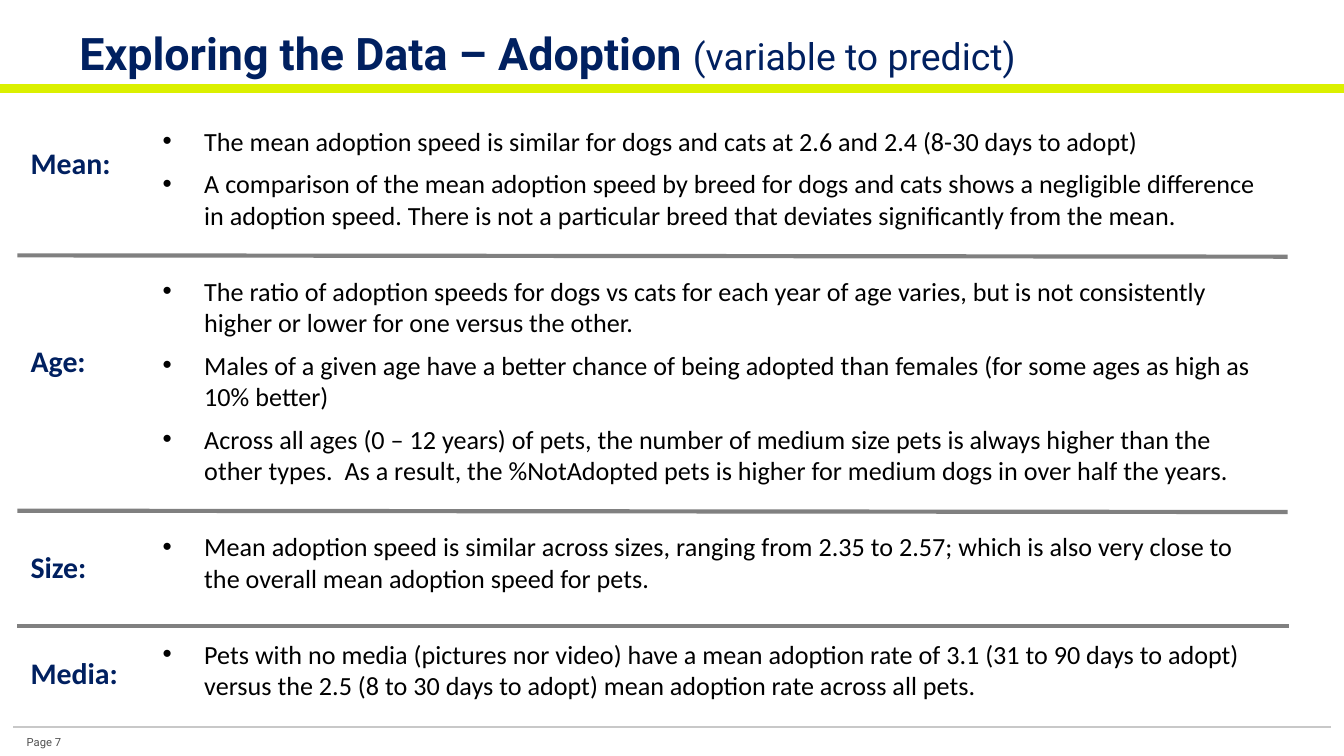
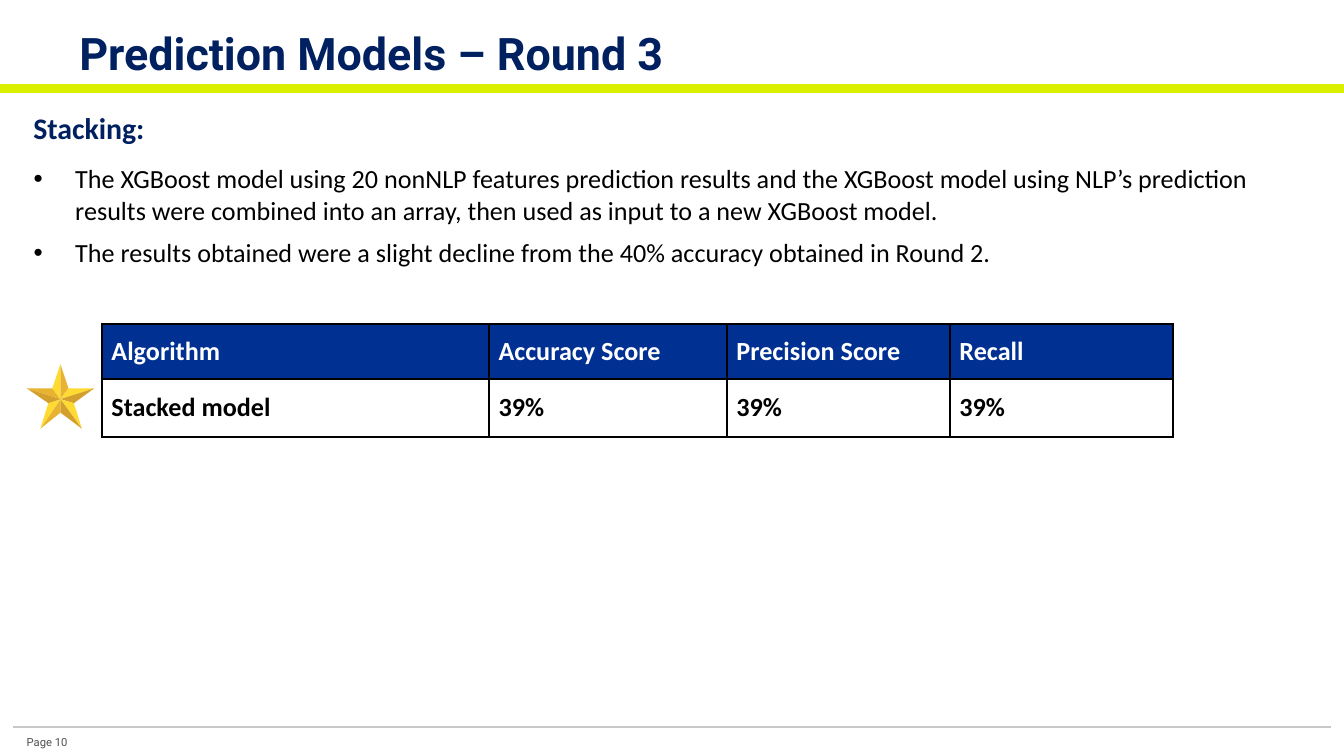
from dataclasses import dataclass

from lxml import etree
from pptx import Presentation
from pptx import util as u
from pptx.dml.color import RGBColor
from pptx.enum import shapes, text
from pptx.oxml.ns import qn

PX = 9144  # EMU per px, 100 px to the inch


@dataclass(frozen=True)
class Theme:
    heading_font: str = "Roboto"
    body_font: str = "Calibri"
    title_size: int = 24
    subtitle_size: int = 20
    label_size: int = 16
    body_size: int = 14
    footer_size: int = 6
    navy: str = "002060"
    header_blue: str = "003192"
    lime: str = "DBF000"
    gray: str = "808080"
    light_gray: str = "C8C8C8"
    footer_gray: str = "505050"
    black: str = "000000"
    white: str = "FFFFFF"
    star_light: str = "FEDA32"
    star_mid: str = "E8B330"
    star_dark: str = "D39F2D"


def px(*lengths):
    return [u.Emu(length * PX) for length in lengths]


def style(font, name, size, color, bold=False):
    font.name, font.size, font.bold = name, u.Pt(size), bold
    font.color.rgb = RGBColor.from_string(color)


def place(shape, box):
    shape.left, shape.top, shape.width, shape.height = px(*box)


class Deck:
    def __init__(self, theme):
        self.theme = theme
        self.prs = Presentation()
        self.prs.slide_width, self.prs.slide_height = u.Inches(10), u.Inches(5.625)
        self.slide = None

    def start_slide(self, page, title_width, title, subtitle=""):
        """Add a slide with its title, lime band and footer."""
        t = self.theme
        self.slide = self.prs.slides.add_slide(self.prs.slide_layouts[1])
        heading = self.slide.shapes.title
        place(heading, (49, 9, title_width, 45))
        frame = heading.text_frame
        self.set_frame(frame, margin=10)
        line = frame.paragraphs[0]
        line.alignment = text.PP_ALIGN.LEFT
        style(line.font, t.heading_font, t.title_size, t.navy, True)
        line.add_run().text = title
        if subtitle:
            aside = line.add_run()
            aside.text = subtitle
            aside.font.size, aside.font.bold = u.Pt(t.subtitle_size), False

        self.line((0, 66), (1000, 66), t.lime, 4.5)
        self.line((10, 541), (990, 541), t.light_gray, 0.75)
        self.text((10, 537, 52, 22), f"Page {page}", t.heading_font,
                  t.footer_size, t.footer_gray, margin=10)

    def set_frame(self, frame, margin=None, wrap=True, grow=False):
        frame.word_wrap = wrap
        frame.vertical_anchor = text.MSO_ANCHOR.TOP
        fit = text.MSO_AUTO_SIZE
        frame.auto_size = fit.SHAPE_TO_FIT_TEXT if grow else fit.NONE
        if margin is not None:
            frame.margin_left, frame.margin_top, frame.margin_right, frame.margin_bottom = px(*[margin] * 4)

    def text(self, box, words, font, size, color, bold=False, margin=None, grow=False):
        frame = self.slide.shapes.add_textbox(*px(*box)).text_frame
        self.set_frame(frame, margin, wrap=False, grow=grow)
        paragraph = frame.paragraphs[0]
        paragraph.text = words
        style(paragraph.font, font, size, color, bold)

    def label(self, box, words):
        t = self.theme
        self.text(box, words, t.body_font, t.label_size, t.navy, True, grow=True)

    def bullets(self, box, items):
        """Fill the body placeholder with (wording, points after) items."""
        t = self.theme
        body = self.slide.placeholders[1]
        place(body, box)
        frame = body.text_frame
        self.set_frame(frame, grow=True)
        for i, (words, after) in enumerate(items):
            paragraph = frame.add_paragraph() if i else frame.paragraphs[0]
            paragraph.text = words
            paragraph.space_before, paragraph.space_after = u.Pt(0), u.Pt(after)
            style(paragraph.font, t.body_font, t.body_size, t.black)
            hanging = paragraph._p.get_or_add_pPr()
            hanging.set("marL", str(31 * PX))
            hanging.set("indent", str(-31 * PX))

    def line(self, start, end, color, width):
        rule = self.slide.shapes.add_connector(
            shapes.MSO_CONNECTOR.STRAIGHT, *px(*start, *end))
        rule.line.color.rgb = RGBColor.from_string(color)
        rule.line.width = u.Pt(width)
        etree.SubElement(rule._element.spPr, qn("a:effectLst"))

    def table(self, corner, widths, heights, rows):
        """Add a bordered table whose first row is the header."""
        t = self.theme
        size = (sum(widths), sum(heights))
        grid = self.slide.shapes.add_table(
            len(rows), len(widths), *px(*corner, *size)).table
        grid.horz_banding = False
        for column, width in zip(grid.columns, px(*widths)):
            column.width = width
        for r, (row, height) in enumerate(zip(rows, px(*heights))):
            grid.rows[r].height = height
            for c, words in enumerate(row):
                cell = grid.cell(r, c)
                cell.text = words
                cell.vertical_anchor = text.MSO_ANCHOR.MIDDLE
                cell.margin_left, cell.margin_right = px(7, 7)
                cell.margin_top = cell.margin_bottom = 0
                style(cell.text_frame.paragraphs[0].font, t.body_font,
                      t.body_size, t.black if r else t.white, True)
                self.border(cell)
                if r:
                    cell.fill.background()
                else:
                    cell.fill.solid()
                    cell.fill.fore_color.rgb = RGBColor.from_string(t.header_blue)

    def border(self, cell):
        props = cell._tc.get_or_add_tcPr()
        for side in ("lnL", "lnR", "lnT", "lnB"):
            edge = etree.SubElement(props, qn(f"a:{side}"), w=str(u.Pt(1)))
            fill = etree.SubElement(edge, qn("a:solidFill"))
            etree.SubElement(fill, qn("a:srgbClr"), val=self.theme.black)

    def star(self, center, rim, colors):
        """Draw one facet from the center to each edge of the rim."""
        group = self.slide.shapes.add_group_shape()
        for i, color in enumerate(colors):
            outline = group.shapes.build_freeform(*center, scale=PX)
            outline.add_line_segments([rim[i], rim[(i + 1) % len(rim)]])
            facet = outline.convert_to_shape()
            facet.shadow.inherit = False
            facet.fill.solid()
            facet.fill.fore_color.rgb = RGBColor.from_string(color)
            facet.line.fill.background()


def adoption_slide(deck):
    deck.start_slide(7, 891, "Exploring the Data – Adoption ", "(variable to predict)")

    # Findings, with a wide gap after each topic
    deck.bullets((111, 88, 837, 443), [
        ("The mean adoption speed is similar for dogs and cats at 2.6 and 2.4 "
         "(8-30 days to adopt)", 6),
        ("A comparison of the mean adoption speed by breed for dogs and cats shows a "
         "negligible difference in adoption speed. There is not a particular breed "
         "that deviates significantly from the mean.", 24),
        ("The ratio of adoption speeds for dogs vs cats for each year of age varies, "
         "but is not consistently higher or lower for one versus the other.", 6),
        ("Males of a given age have a better chance of being adopted than females "
         "(for some ages as high as 10% better)", 6),
        ("Across all ages (0 – 12 years) of pets, the number of medium size pets is "
         "always higher than the other types.  As a result, the %NotAdopted pets is "
         "higher for medium dogs in over half the years.", 24),
        ("Mean adoption speed is similar across sizes, ranging from 2.35 to 2.57; "
         "which is also very close to the overall mean adoption speed for pets.", 24),
        ("Pets with no media (pictures nor video) have a mean adoption rate of 3.1 "
         "(31 to 90 days to adopt) versus the 2.5 (8 to 30 days to adopt) mean "
         "adoption rate across all pets.", 12),
    ])

    # Topics and the dividers between them
    for topic, top, width in (("Mean:", 103, 80), ("Age:", 250, 62),
                              ("Size:", 403, 63), ("Media:", 482, 86)):
        deck.label((13, top, width, 37), topic)
    for right, left in (((958, 191), (13, 190)), ((958, 381), (13, 380)),
                        ((959, 466), (13, 466))):
        deck.line(right, left, deck.theme.gray, 2.25)


def models_slide(deck):
    deck.start_slide(10, 471, "Prediction Models – Round 3")

    # Stacking approach
    deck.label((15, 77, 104, 37), "Stacking:")
    deck.bullets((15, 116, 932, 89), [
        ("The XGBoost model using 20 nonNLP features prediction results and the "
         "XGBoost model using NLP’s prediction results were combined into an array, "
         "then used as input to a new XGBoost model.", 6),
        ("The results obtained were a slight decline from the 40% accuracy obtained "
         "in Round 2.", 6),
    ])

    # Scores, marked with a gold star
    deck.table((76, 241), (288, 177, 166, 166), (41, 43), [
        ("Algorithm", "Accuracy Score", "Precision Score", "Recall"),
        ("Stacked model", "39%", "39%", "39%"),
    ])
    t = deck.theme
    rim = [(45, 271), (51, 289), (70, 289), (55, 300), (61, 319),
           (45, 307), (30, 319), (36, 300), (20, 289), (39, 289)]
    deck.star((45, 297), rim, [
        t.star_mid, t.star_light, t.star_dark, t.star_light, t.star_dark,
        t.star_mid, t.star_light, t.star_dark, t.star_mid, t.star_light])


def main():
    deck = Deck(Theme())
    adoption_slide(deck)
    models_slide(deck)
    deck.prs.save("out.pptx")


if __name__ == "__main__":
    main()
